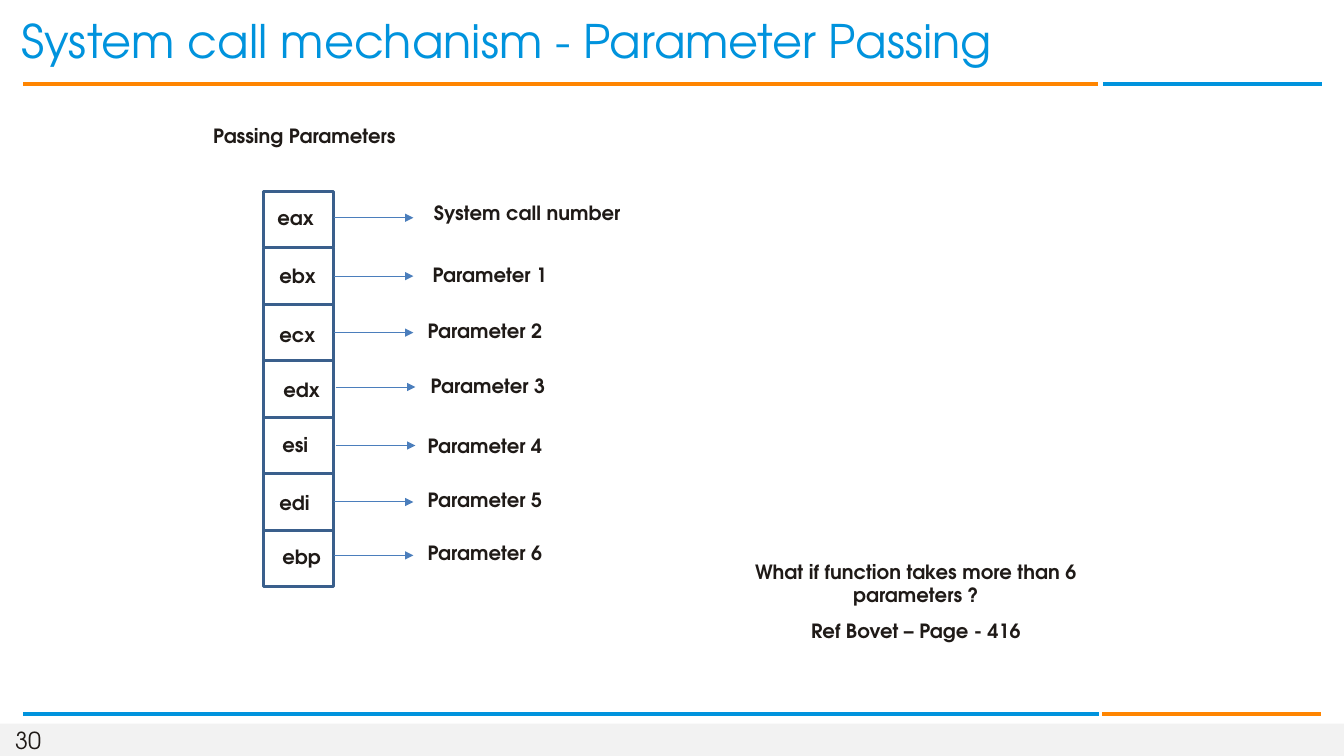
from lxml import etree
from pptx import Presentation
from pptx.dml.color import RGBColor
from pptx.enum.shapes import MSO_CONNECTOR, MSO_SHAPE
from pptx.enum.text import MSO_ANCHOR, MSO_AUTO_SIZE, PP_ALIGN
from pptx.oxml.ns import qn
from pptx.util import Inches, Pt

STRAIGHT = MSO_CONNECTOR.STRAIGHT
RECTANGLE = MSO_SHAPE.RECTANGLE
MIDDLE = MSO_ANCHOR.MIDDLE
NO_AUTOFIT = MSO_AUTO_SIZE.NONE
LEFT, CENTER = PP_ALIGN.LEFT, PP_ALIGN.CENTER

FONT = "TeX Gyre Adventor"
BLUE, ORANGE, INK = "0093DD", "FF8500", "1F1A17"
FOOTER_GREY, CELL_EDGE, ARROW_BLUE = "F2F2F2", "3A5F8C", "4B7EBC"

STACK_LEFT, STACK_TOP = 2.61, 1.9
CELL_WIDTH, CELL_HEIGHT = 0.7, 0.56
ARROW_LENGTH = 0.79
LINE_HEIGHT = 0.31

# Register, its left and top; arrow left and height; meaning, its left and top
REGISTERS = [
    ("eax", 2.68, 2.0, 3.31, 2.16, "System call number", 4.1, 1.95),
    ("ebx", 2.7, 2.58, 3.31, 2.74, "Parameter 1", 3.73, 2.57),
    ("ecx", 2.7, 3.17, 3.31, 3.3, "Parameter 2", 3.68, 3.13),
    ("edx", 2.74, 3.71, 3.33, 3.84, "Parameter 3", 3.71, 3.67),
    ("esi", 2.73, 4.26, 3.33, 4.42, "Parameter 4", 3.68, 4.27),
    ("edi", 2.7, 4.83, 3.31, 4.98, "Parameter 5", 3.68, 4.8),
    ("ebp", 2.73, 5.37, 3.31, 5.51, "Parameter 6", 3.68, 5.33),
]


def rgb(hex_code):
    """Turn a hex string into a colour."""
    return RGBColor.from_string(hex_code)


def write(frame, text, size, color=INK, bold=False, align=LEFT, inset=(0.07, 0.04)):
    """Fill a text frame with one formatted run."""
    frame.word_wrap = True
    frame.auto_size = NO_AUTOFIT
    frame.vertical_anchor = MIDDLE
    frame.margin_left = frame.margin_right = Inches(inset[0])
    frame.margin_top = frame.margin_bottom = Inches(inset[1])
    paragraph = frame.paragraphs[0]
    paragraph.alignment = align
    run = paragraph.add_run()
    run.text = text
    run.font.name = FONT
    run.font.size = Pt(size)
    run.font.bold = bold
    run.font.color.rgb = rgb(color)


def add_title(slide, text):
    """Place and format the title placeholder."""
    title = slide.shapes.title
    title.left, title.top = Inches(0.14), Inches(0.11)
    title.width, title.height = Inches(11.94), Inches(0.58)
    write(title.text_frame, text, 33, BLUE)


def add_label(slide, text, left, top, width, height=LINE_HEIGHT, align=CENTER):
    """Add a bold label."""
    label = slide.shapes.add_textbox(
        Inches(left), Inches(top), Inches(width), Inches(height))
    write(label.text_frame, text, 14, bold=True, align=align)


def add_rule(slide, left, right, y, color, weight):
    """Add a horizontal line without a shadow and return it."""
    rule = slide.shapes.add_connector(
        STRAIGHT, Inches(left), Inches(y), Inches(right), Inches(y))
    rule.line.color.rgb = rgb(color)
    rule.line.width = Pt(weight)
    etree.SubElement(rule._element.spPr, qn("a:effectLst"))
    return rule


def add_arrow(slide, left, y):
    """Add an arrow from a register to its meaning."""
    arrow = add_rule(slide, left, left + ARROW_LENGTH, y, ARROW_BLUE, 0.75)
    etree.SubElement(arrow.line._get_or_add_ln(), qn("a:tailEnd"), type="triangle")


def add_cell(slide, row):
    """Add one empty cell of the register stack."""
    cell = slide.shapes.add_shape(
        RECTANGLE, Inches(STACK_LEFT), Inches(STACK_TOP + row * CELL_HEIGHT),
        Inches(CELL_WIDTH), Inches(CELL_HEIGHT))
    cell.shadow.inherit = False
    cell.fill.background()
    cell.line.color.rgb = rgb(CELL_EDGE)
    cell.line.width = Pt(2)


def add_footer(slide, number):
    """Add the grey footer band and the page number."""
    band = slide.shapes.add_shape(
        RECTANGLE, 0, Inches(7.18), Inches(13.33), Inches(0.32))
    band.shadow.inherit = False
    band.fill.solid()
    band.fill.fore_color.rgb = rgb(FOOTER_GREY)
    band.line.fill.background()
    page = slide.shapes.add_textbox(
        Inches(0.15), Inches(7.2), Inches(0.28), Inches(0.28))
    write(page.text_frame, number, 16.7, inset=(0, 0))
    page.text_frame.word_wrap = False


def main():
    """Build the slide and save it."""
    deck = Presentation()
    deck.slide_width, deck.slide_height = Inches(13.33), Inches(7.5)
    slide = deck.slides.add_slide(deck.slide_layouts[5])

    add_footer(slide, "30")
    add_rule(slide, 0.23, 10.89, 0.83, ORANGE, 3)
    add_rule(slide, 10.94, 13.11, 0.83, BLUE, 3)
    add_rule(slide, 0.23, 10.9, 7.08, BLUE, 3)
    add_rule(slide, 10.93, 13.1, 7.08, ORANGE, 3)
    add_title(slide, "System call mechanism - Parameter Passing")

    add_label(slide, "Passing Parameters", 1.89, 1.19, 2.26)
    for row, register in enumerate(REGISTERS):
        name, name_left, name_top, arrow_left, arrow_y, meaning, left, top = register
        add_cell(slide, row)
        add_label(slide, name, name_left, name_top, 0.68, align=LEFT)
        add_arrow(slide, arrow_left, arrow_y)
        add_label(slide, meaning, left, top, 2.26)

    add_label(slide, "What if function takes more than 6 parameters ?",
              7.31, 5.51, 3.55, 0.55)
    add_label(slide, "Ref Bovet – Page - 416", 7.31, 6.1, 3.55)

    deck.save("out.pptx")


if __name__ == "__main__":
    main()
